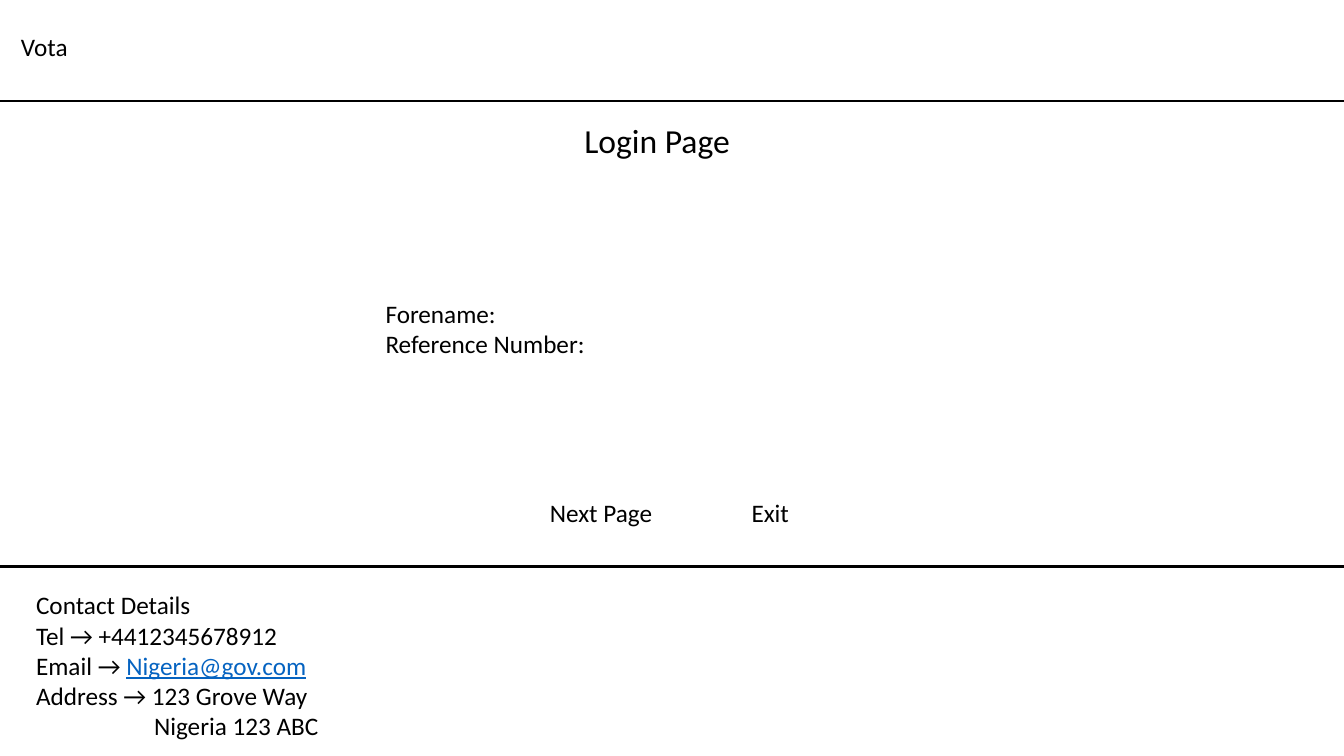
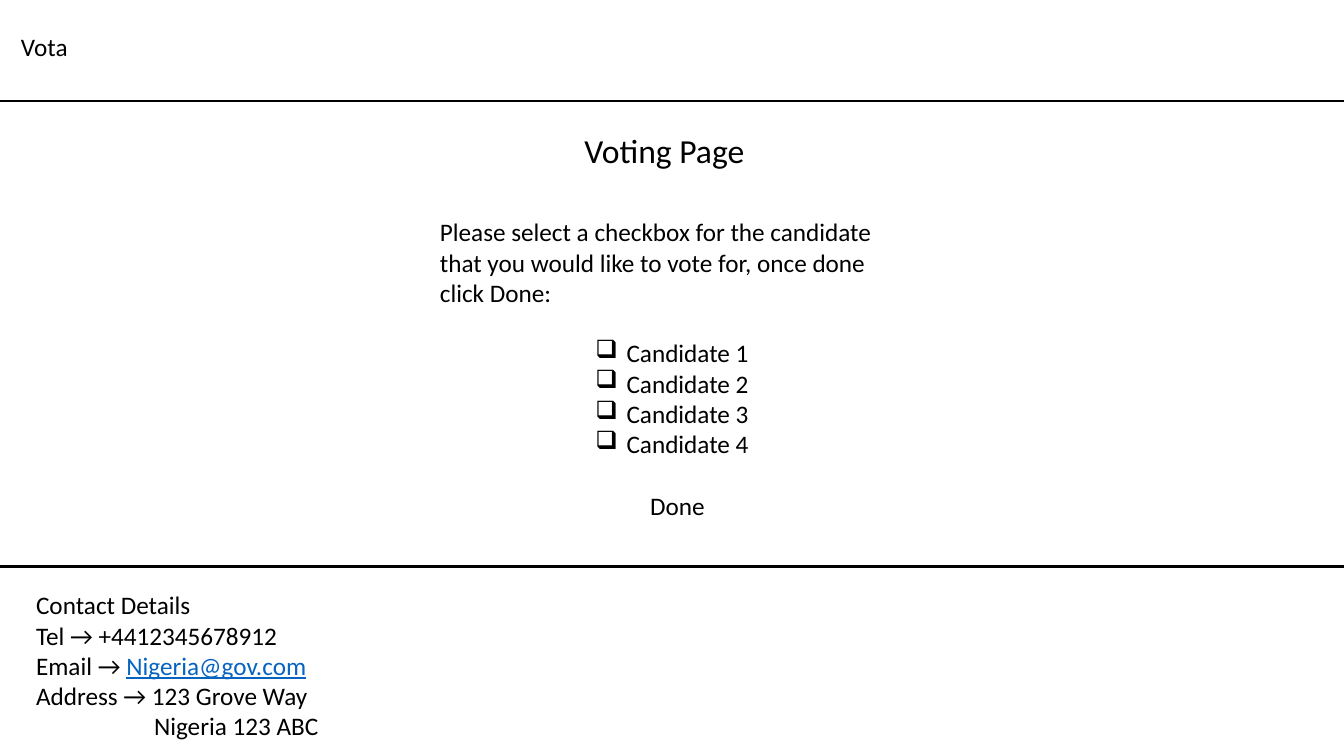
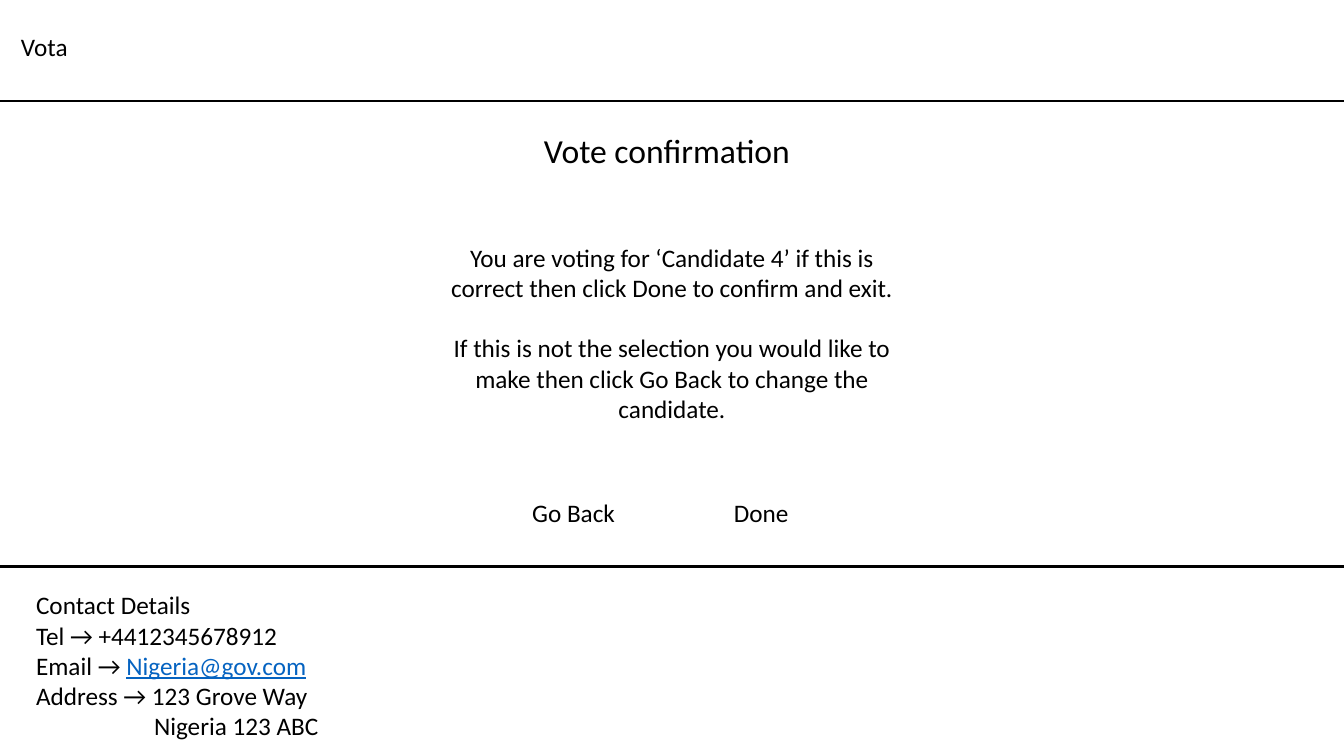
from lxml import etree
from pptx import Presentation
from pptx import util as u
from pptx.dml.color import RGBColor
from pptx.enum import shapes, text
from pptx.oxml import ns

WIDE, HIGH = 13.33, 7.5
FONT, BLACK, BLUE = "Calibri", "000000", "0563C1"
RULES = (1, 5.62)
LINE = 21.6  # points, one line of 18 pt text
BRAND = dict(box=(0.11, 0.26, 5.79, 0.4), rows=["Vota"])
CONTACT = dict(box=(0.26, 5.8, 5.54, 1.62), rows=[
    "Contact Details",
    "Tel → +4412345678912",
    dict(text="Email → ", link="Nigeria@gov.com"),
    "Address → 123 Grove Way",
    dict(text="Nigeria 123 ABC", left=1.17),
])

# A box is left, top, width, height; left None centres it on the slide.
PAGES = [
    dict(title="Login Page", box=(None, 1.14, 1.94, 0.5), parts=[
        dict(box=(None, 2.91, 5.88, 0.71),
             rows=["Forename:", "Reference Number:"]),
        dict(box=(None, 4.88, 2.62, 0.4),
             rows=[dict(text="Next Page\tExit", tab=2)]),
    ]),
    dict(title="Voting Page", box=(None, 1.24, 1.94, 0.5), parts=[
        dict(box=(6.35, 4.82, 0.79, 0.4), rows=["Done"]),
        dict(box=(None, 2.1, 4.8, 2.52), rows=[
            "Please select a checkbox for the candidate that you would "
            "like to vote for, once done click Done:",
            *(dict(text=f"Candidate {n}", mark="❑", left=0.31, mid=True,
                   gap=LINE if n == 1 else 0) for n in range(1, 5)),
        ]),
    ]),
    dict(title="Vote confirmation", box=(None, 1.24, 2.74, 0.5), parts=[
        dict(box=(None, 4.88, 2.97, 0.4),
             rows=[dict(text="Go Back\tDone", tab=2)]),
        dict(box=(None, 2.35, 4.8, 1.92), rows=[
            dict(text="You are voting for ‘Candidate 4’ if this is correct "
                      "then click Done to confirm and exit.", mid=True),
            dict(text="If this is not the selection you would like to make "
                      "then click Go Back to change the candidate.",
                 mid=True, gap=LINE),
        ]),
    ]),
]


def color(code):
    return RGBColor.from_string(code)


def place(box):
    """Turn a box in inches into lengths, centring it when left is None."""
    left, top, wide, high = box
    if left is None:
        left = (WIDE - wide) / 2
    return [u.Inches(n) for n in (left, top, wide, high)]


def add_run(para, words, size, tint=BLACK, line=False):
    run = para.add_run()
    run.text = words
    font = run.font
    font.name, font.size, font.underline = FONT, u.Pt(size), line
    font.color.rgb = color(tint)


def write(para, words, size=18, link="", left=0, mark="", tab=0,
          mid=False, gap=0):
    """Fill one paragraph; left, tab in inches, gap in points."""
    props = para._p.get_or_add_pPr()
    if left:
        props.set("marL", str(u.Inches(left)))
    if mark:
        props.set("indent", str(-u.Inches(left)))
        etree.SubElement(props, ns.qn("a:buChar"), char=mark)
    if tab:
        stops = etree.SubElement(props, ns.qn("a:tabLst"))
        etree.SubElement(stops, ns.qn("a:tab"), pos=str(u.Inches(tab)),
                         algn="l")
    para.alignment = text.PP_ALIGN.CENTER if mid else text.PP_ALIGN.LEFT
    if gap:
        para.space_before = u.Pt(gap)
    add_run(para, words, size)
    if link:
        add_run(para, link, size, BLUE, True)


def fill(shape, rows, size=18):
    frame = shape.text_frame
    frame.word_wrap = True
    frame.auto_size = text.MSO_AUTO_SIZE.SHAPE_TO_FIT_TEXT
    frame.vertical_anchor = text.MSO_ANCHOR.TOP
    for i, row in enumerate(rows):
        para = frame.add_paragraph() if i else frame.paragraphs[0]
        form = dict(row) if isinstance(row, dict) else dict(text=row)
        write(para, form.pop("text"), size, **form)


def add_text(slide, box, rows):
    fill(slide.shapes.add_textbox(*place(box)), rows)


def add_rule(slide, top):
    rule = slide.shapes.add_connector(
        shapes.MSO_CONNECTOR.STRAIGHT, 0, u.Inches(top),
        u.Inches(WIDE), u.Inches(top))
    rule.line.color.rgb = color(BLACK)
    rule.line.width = u.Pt(1.5)
    etree.SubElement(rule._element.spPr, ns.qn("a:effectLst"))


def add_page(deck, page):
    slide = deck.slides.add_slide(deck.slide_layouts[5])
    title = slide.shapes.title
    title.left, title.top, title.width, title.height = place(page["box"])
    fill(title, [page["title"]], 24)
    for top in RULES:
        add_rule(slide, top)
    for part in (BRAND, CONTACT, *page["parts"]):
        add_text(slide, **part)


def main():
    deck = Presentation()
    deck.slide_width, deck.slide_height = u.Inches(WIDE), u.Inches(HIGH)
    for page in PAGES:
        add_page(deck, page)
    deck.save("out.pptx")


if __name__ == "__main__":
    main()
